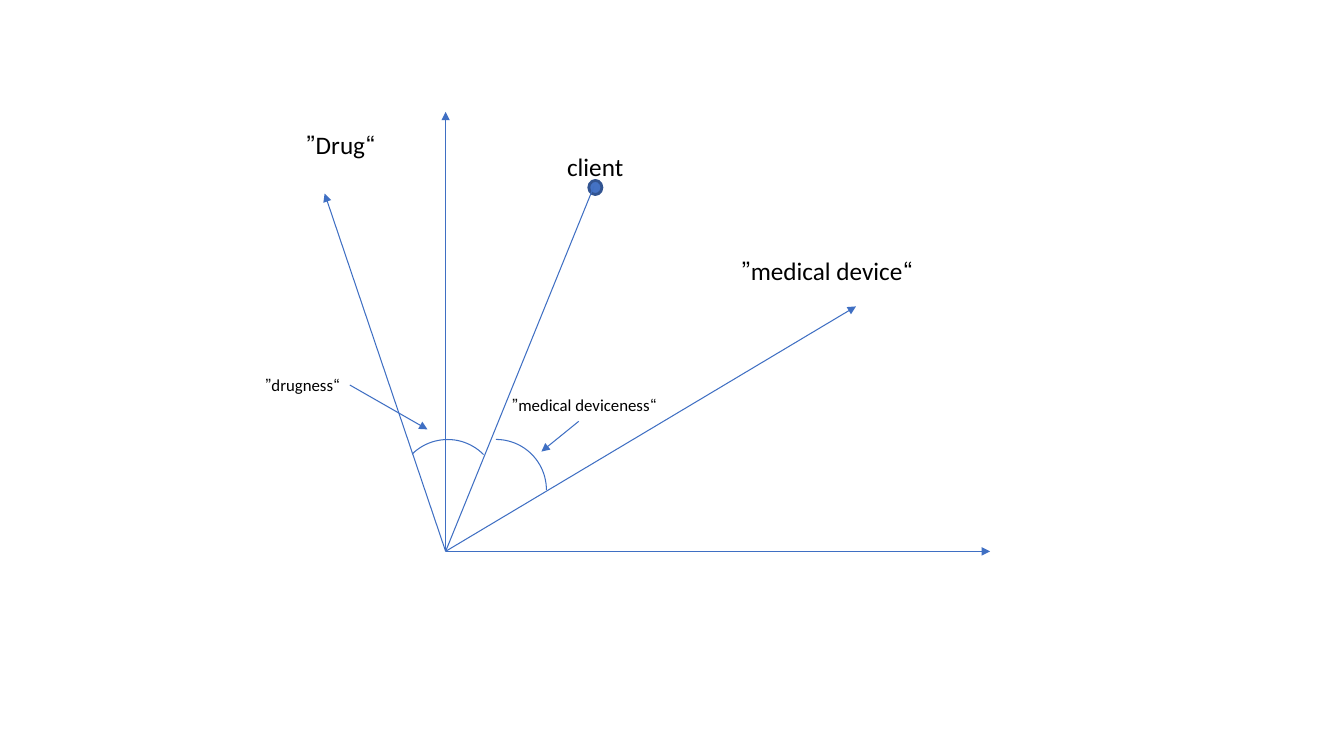
from lxml.etree import SubElement
from pptx import Presentation
from pptx.dml.color import RGBColor
from pptx.enum.shapes import MSO_CONNECTOR as CONN, MSO_SHAPE as SHAPE
from pptx.enum.text import MSO_AUTO_SIZE as FIT, PP_ALIGN as ALIGN
from pptx.oxml.ns import qn
from pptx.util import Inches, Pt

BLUE = "3F6FC3"
ORIGIN = (4.42, 5.47)


def paint(target, color):
    """Set a solid colour on a fill."""
    target.solid()
    target.fore_color.rgb = RGBColor.from_string(color)


def stroke(line, color=BLUE, width=0.75):
    """Set the colour and width of a line."""
    paint(line.fill, color)
    line.width = Pt(width)


def ray(slide, start, end, head=True):
    """Draw a straight line, with an arrowhead at its end if wanted."""
    points = [Inches(v) for v in (*start, *end)]
    link = slide.shapes.add_connector(CONN.STRAIGHT, *points)
    stroke(link.line)
    props = link.element.spPr
    if head:
        SubElement(props.get_or_add_ln(), qn("a:tailEnd"), type="triangle")
    SubElement(props, qn("a:effectLst"))


def shape(slide, kind, box, fill=None, turn=0, **edge):
    """Draw a preset shape without a shadow."""
    item = slide.shapes.add_shape(kind, *map(Inches, box))
    item.shadow.inherit = False
    item.rotation = turn
    if fill:
        paint(item.fill, fill)
    else:
        item.fill.background()
    stroke(item.line, **edge)


def label(slide, text, box, size=18, font="Calibri", color="000000"):
    """Write a right-aligned, right-to-left text box."""
    frame = slide.shapes.add_textbox(*map(Inches, box)).text_frame
    frame.word_wrap = True
    frame.auto_size = FIT.SHAPE_TO_FIT_TEXT
    para = frame.paragraphs[0]
    para.alignment = ALIGN.RIGHT
    para._p.get_or_add_pPr().set("rtl", "1")
    run = para.add_run()
    run.text = text
    run.font.name = font
    run.font.size = Pt(size)
    paint(run.font.fill, color)


def main():
    """Build the vector diagram and save it."""
    deck = Presentation()
    deck.slide_width, deck.slide_height = Inches(13.33), Inches(7.5)
    slide = deck.slides.add_slide(deck.slide_layouts[6])

    axes = [(9.82, 5.47), (4.42, 1.11)]
    device, drug = (8.49, 3.04), (3.22, 1.92)
    for tip in (*axes, device, drug):
        ray(slide, ORIGIN, tip)

    shape(slide, SHAPE.OVAL, (5.84, 1.79, 0.13, 0.14), "4472C4",
          color="325491", width=2)
    ray(slide, (5.89, 1.85), ORIGIN, head=False)

    for left, turn in ((4.42, 0), (3.94, 315.4)):
        shape(slide, SHAPE.ARC, (left, 4.36, 1, 1), turn=turn)
    for start, end in (((5.74, 4.18), (5.37, 4.48)),
                       ((3.47, 3.82), (4.24, 4.26))):
        ray(slide, start, end)

    label(slide, "client", (4.9, 1.45, 1.38, 0.4))
    label(slide, "“medical device”", (7.1, 2.48, 2.05, 0.7))
    label(slide, "“Drug”", (2.29, 1.23, 1.53, 0.4))
    label(slide, "“medical deviceness”", (4.86, 3.87, 1.75, 0.5), size=12)
    label(slide, "“drugness”", (2.46, 3.67, 1.01, 0.5), size=12)
    deck.save("out.pptx")


main()
